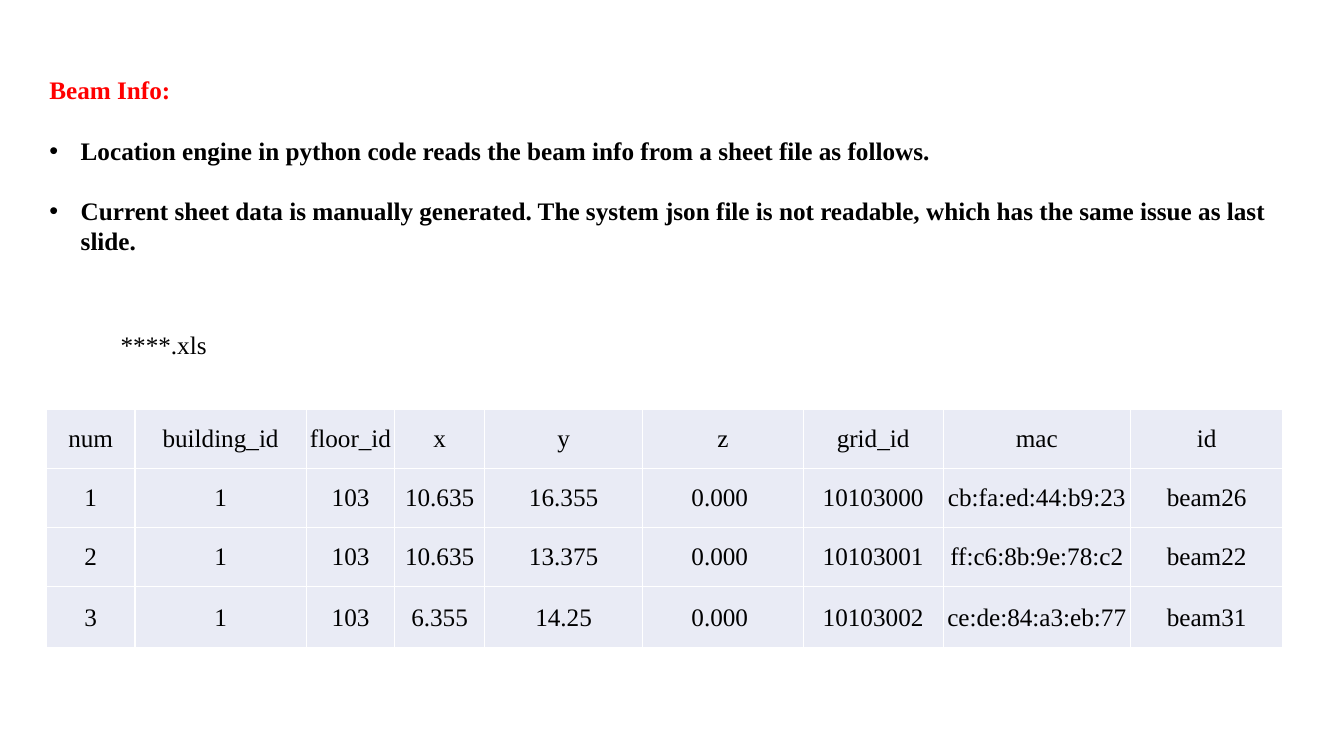
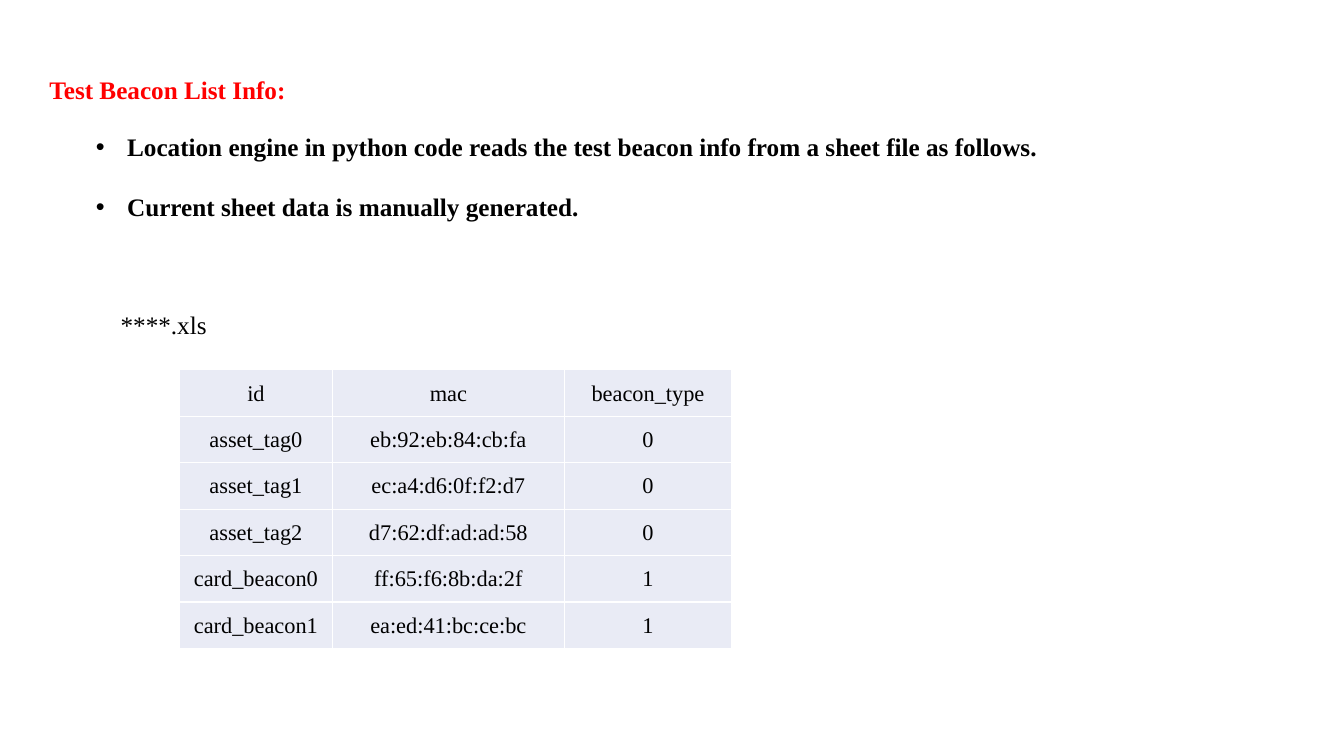
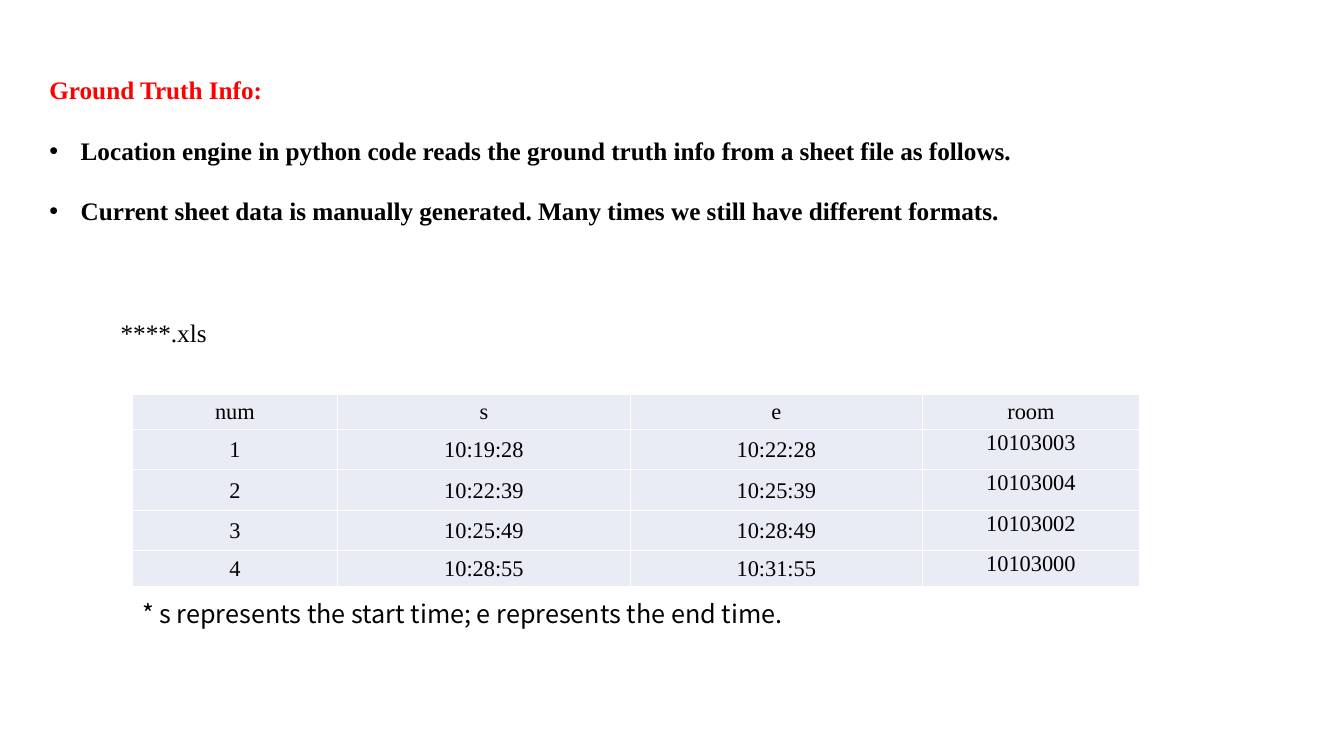
from dataclasses import dataclass
from typing import Optional

from lxml.etree import SubElement
from pptx import Presentation
from pptx.dml.color import RGBColor
from pptx.enum.text import MSO_ANCHOR, MSO_AUTO_SIZE, PP_ALIGN
from pptx.oxml.ns import qn
from pptx.slide import Slide
from pptx.text.text import TextFrame
from pptx.util import Cm, Pt

RED = RGBColor(0xFF, 0x00, 0x00)
BLACK = RGBColor(0x00, 0x00, 0x00)
PALE_BLUE = RGBColor(0xE9, 0xEB, 0xF5)
BORDER_WHITE = RGBColor(0xFF, 0xFF, 0xFF)
SERIF = "Times New Roman"
SANS = "Noto Sans CJK SC"
LINE_HEIGHT = 1.02
BULLET_INDENT = Cm(0.79)
BULLET_GAP = Pt(21.5)
CELL_INSET = Cm(0.02)


@dataclass(frozen=True)
class Box:
    left: float
    top: float
    width: float
    height: float = LINE_HEIGHT


@dataclass(frozen=True)
class DataTable:
    left: float
    top: float
    columns: list[float]
    heights: list[float]
    rows: list[list[str]]
    size: int = 16
    top_anchored_column: Optional[int] = None


@dataclass(frozen=True)
class InfoPage:
    heading: str
    points: list[str]
    points_box: Box
    file_label_top: float
    records: DataTable
    footnote: str = ""


HEADING_BOX = Box(0.99, 1.75, 30)
FOOTNOTE_BOX = Box(3.33, 14.96, 22.68)

PAGES = [
    InfoPage(
        "Beam Info:",
        [
            "Location engine in python code reads the beam info from a sheet file as follows.",
            "Current sheet data is manually generated. The system json file is not readable, "
            "which has the same issue as last slide.",
        ],
        Box(0.99, 3.28, 32.41, 4.1),
        8.18,
        DataTable(
            1.17, 10.31,
            [2.23, 4.32, 2.23, 2.26, 3.99, 4.04, 3.53, 4.72, 3.84],
            [1.49, 1.49, 1.49, 1.54],
            [
                ["num", "building_id", "floor_id", "x", "y", "z", "grid_id", "mac", "id"],
                ["1", "1", "103", "10.635", "16.355", "0.000 ", "10103000", "cb:fa:ed:44:b9:23", "beam26"],
                ["2", "1", "103", "10.635", "13.375", "0.000 ", "10103001", "ff:c6:8b:9e:78:c2", "beam22"],
                ["3", "1", "103", "6.355", "14.25", "0.000 ", "10103002", "ce:de:84:a3:eb:77", "beam31"],
            ],
            size=18,
        ),
    ),
    InfoPage(
        "Test Beacon List Info:",
        [
            "Location engine in python code reads the test beacon info from a sheet file as follows.",
            "Current sheet data is manually generated.",
        ],
        Box(2.16, 3.18, 27.53, 2.57),
        7.67,
        DataTable(
            4.52, 9.32,
            [3.86, 5.84, 4.22],
            [1.17] * 6,
            [
                ["id", "mac", "beacon_type"],
                ["asset_tag0", "eb:92:eb:84:cb:fa", "0"],
                ["asset_tag1", "ec:a4:d6:0f:f2:d7", "0"],
                ["asset_tag2", "d7:62:df:ad:ad:58", "0"],
                ["card_beacon0", "ff:65:f6:8b:da:2f", "1"],
                ["card_beacon1", "ea:ed:41:bc:ce:bc", "1"],
            ],
        ),
    ),
    InfoPage(
        "Ground Truth Info:",
        [
            "Location engine in python code reads the ground truth info from a sheet file as follows.",
            "Current sheet data is manually generated. Many times we still have different formats.",
        ],
        Box(0.99, 3.28, 31.95, 3.35),
        7.87,
        DataTable(
            3.33, 9.93,
            [5.18, 7.37, 7.37, 5.46],
            [0.89, 1.02, 1.02, 1.02, 0.89],
            [
                ["num", "s", "e", "room"],
                ["1", "10:19:28", "10:22:28", "10103003"],
                ["2", "10:22:39", "10:25:39", "10103004"],
                ["3", "10:25:49", "10:28:49", "10103002"],
                ["4", "10:28:55", "10:31:55", "10103000"],
            ],
            top_anchored_column=3,
        ),
        "* s represents the start time; e represents the end time.",
    ),
]


def write(frame: TextFrame, *lines: str, size: int = 18, font: str = SERIF,
          color: RGBColor = BLACK, bold: bool = False,
          align: PP_ALIGN = PP_ALIGN.LEFT, bulleted: bool = False) -> None:
    for index, line in enumerate(lines):
        paragraph = frame.add_paragraph() if index else frame.paragraphs[0]
        if bulleted:
            properties = paragraph._p.get_or_add_pPr()
            properties.set("marL", str(BULLET_INDENT))
            properties.set("indent", str(-BULLET_INDENT))
            SubElement(properties, qn("a:buFont"), typeface="Arial")
            SubElement(properties, qn("a:buChar"), char="•")
        paragraph.alignment = align
        paragraph.space_before = BULLET_GAP if index else Pt(0)
        run = paragraph.add_run()
        run.text = line
        run.font.size = Pt(size)
        run.font.name = font
        run.font.bold = bold
        run.font.color.rgb = color


def place(shape, box: Box) -> TextFrame:
    shape.left, shape.top = Cm(box.left), Cm(box.top)
    shape.width, shape.height = Cm(box.width), Cm(box.height)
    frame = shape.text_frame
    frame.word_wrap = True
    frame.auto_size = MSO_AUTO_SIZE.NONE
    frame.vertical_anchor = MSO_ANCHOR.TOP
    return frame


def add_label(slide: Slide, text: str, box: Box, font: str = SERIF) -> None:
    label = slide.shapes.add_textbox(0, 0, 0, 0)
    write(place(label, box), text, font=font)


def style_cell(cell) -> None:
    properties = cell._tc.get_or_add_tcPr()
    for side in ("lnL", "lnR", "lnT", "lnB"):
        border = SubElement(properties, qn(f"a:{side}"), w=str(Pt(1)))
        fill = SubElement(border, qn("a:solidFill"))
        SubElement(fill, qn("a:srgbClr"), val=str(BORDER_WHITE))
    cell.fill.solid()
    cell.fill.fore_color.rgb = PALE_BLUE
    cell.margin_left = cell.margin_right = cell.margin_top = CELL_INSET
    cell.margin_bottom = 0


def add_records(slide: Slide, records: DataTable) -> None:
    table = slide.shapes.add_table(
        len(records.rows), len(records.columns), Cm(records.left), Cm(records.top),
        Cm(sum(records.columns)), Cm(sum(records.heights))).table
    table.first_row = table.horz_banding = False
    for column, width in zip(table.columns, records.columns):
        column.width = Cm(width)
    for row, height in zip(table.rows, records.heights):
        row.height = Cm(height)
    for row_index, values in enumerate(records.rows):
        for column_index, value in enumerate(values):
            cell = table.cell(row_index, column_index)
            style_cell(cell)
            at_top = row_index > 0 and column_index == records.top_anchored_column
            cell.vertical_anchor = MSO_ANCHOR.TOP if at_top else MSO_ANCHOR.MIDDLE
            write(cell.text_frame, value, size=records.size, align=PP_ALIGN.CENTER)


def add_page(presentation, page: InfoPage) -> None:
    slide = presentation.slides.add_slide(presentation.slide_layouts[1])
    write(place(slide.shapes.title, HEADING_BOX), page.heading, color=RED, bold=True)
    write(place(slide.placeholders[1], page.points_box), *page.points, bold=True, bulleted=True)
    add_label(slide, "****.xls", Box(2.79, page.file_label_top, 10.21))
    add_records(slide, page.records)
    if page.footnote:
        add_label(slide, page.footnote, FOOTNOTE_BOX, font=SANS)


def main() -> None:
    presentation = Presentation()
    presentation.slide_width = Cm(33.87)
    presentation.slide_height = Cm(19.05)
    for page in PAGES:
        add_page(presentation, page)
    presentation.save("out.pptx")


if __name__ == "__main__":
    main()
